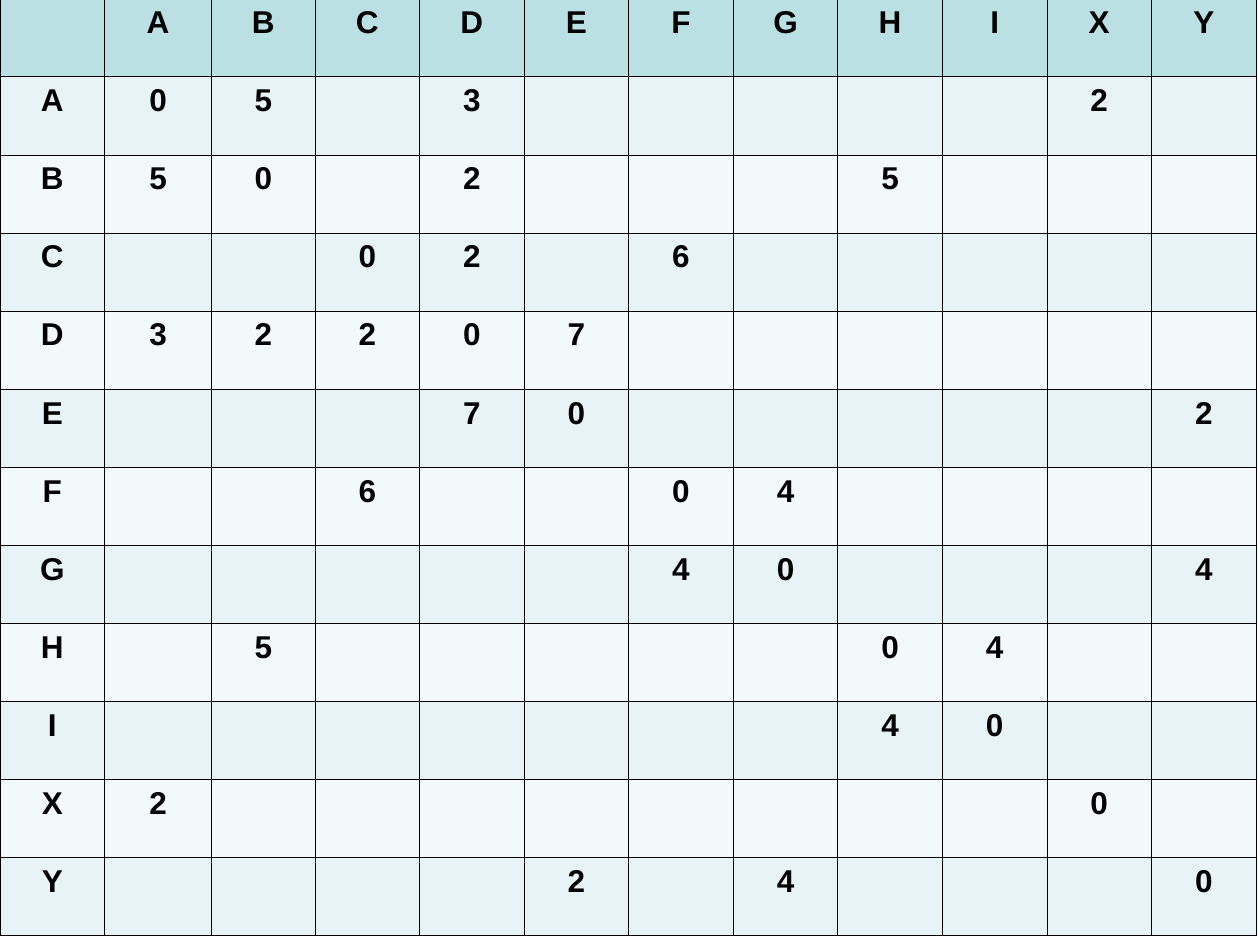
from lxml import etree
from pptx import Presentation
from pptx import util as u
from pptx.dml import color
from pptx.enum import text
from pptx.oxml import ns

NODES = "ABCDEFGHIXY"
EDGES = {"AB": 5, "AD": 3, "AX": 2, "BD": 2, "BH": 5, "CD": 2,
         "CF": 6, "DE": 7, "EY": 2, "FG": 4, "GY": 4, "HI": 4}
HEADER, ODD_ROW, EVEN_ROW, INK = "BBE0E3", "E7F3F4", "F3F9FA", "000000"
COLUMN, ROW, TOP = 0.83, 0.62, -0.01
SPECIAL_COLUMNS = {1: 0.85, 2: 0.82}


def rgb(value):
    """Turn a hex string into a colour."""
    return color.RGBColor.from_string(value)


def distance(start, end):
    """Give the label for the direct distance between two nodes."""
    if start == end:
        return "0"
    return str(EDGES.get("".join(sorted(start + end)), ""))


def distance_rows():
    """Give the header row followed by one row per node."""
    header = ["", *NODES]
    return [header] + [[start] + [distance(start, end) for end in NODES]
                       for start in NODES]


def write(cell, label, size=18, font="Arial", bold=True, ink=INK):
    """Write a centred label into a cell."""
    paragraph = cell.text_frame.paragraphs[0]
    paragraph.alignment = text.PP_ALIGN.CENTER
    run = paragraph.add_run()
    run.text = label
    run.font.size = u.Pt(size)
    run.font.name = font
    run.font.bold = bold
    run.font.color.rgb = rgb(ink)


def add_borders(cell, width=0.45, ink=INK):
    """Draw a solid line on all four sides of a cell."""
    properties = cell._tc.get_or_add_tcPr()
    for side in ("a:lnL", "a:lnR", "a:lnT", "a:lnB"):
        line = etree.SubElement(properties, ns.qn(side), w=str(u.Pt(width)))
        fill = etree.SubElement(line, ns.qn("a:solidFill"))
        etree.SubElement(fill, ns.qn("a:srgbClr"), val=ink)


def row_fill(row):
    """Choose the fill of a row by its index."""
    if row == 0:
        return HEADER
    return ODD_ROW if row % 2 else EVEN_ROW


def add_distance_table(slide, rows):
    """Add the table of distances between nodes."""
    count = len(rows)
    widths = [SPECIAL_COLUMNS.get(i, COLUMN) for i in range(count)]
    table = slide.shapes.add_table(
        count, count, 0, u.Inches(TOP),
        u.Inches(sum(widths)), u.Inches(ROW * count)).table
    for column, width in zip(table.columns, widths):
        column.width = u.Inches(width)
    for i, labels in enumerate(rows):
        table.rows[i].height = u.Inches(ROW)
        for j, label in enumerate(labels):
            cell = table.cell(i, j)
            add_borders(cell)
            cell.fill.solid()
            cell.fill.fore_color.rgb = rgb(row_fill(i))
            if label:
                write(cell, label)


def main():
    """Build the slide and save it."""
    deck = Presentation()
    deck.slide_width, deck.slide_height = u.Inches(10), u.Inches(7.5)
    slide = deck.slides.add_slide(deck.slide_layouts[6])
    add_distance_table(slide, distance_rows())
    deck.save("out.pptx")


if __name__ == "__main__":
    main()
